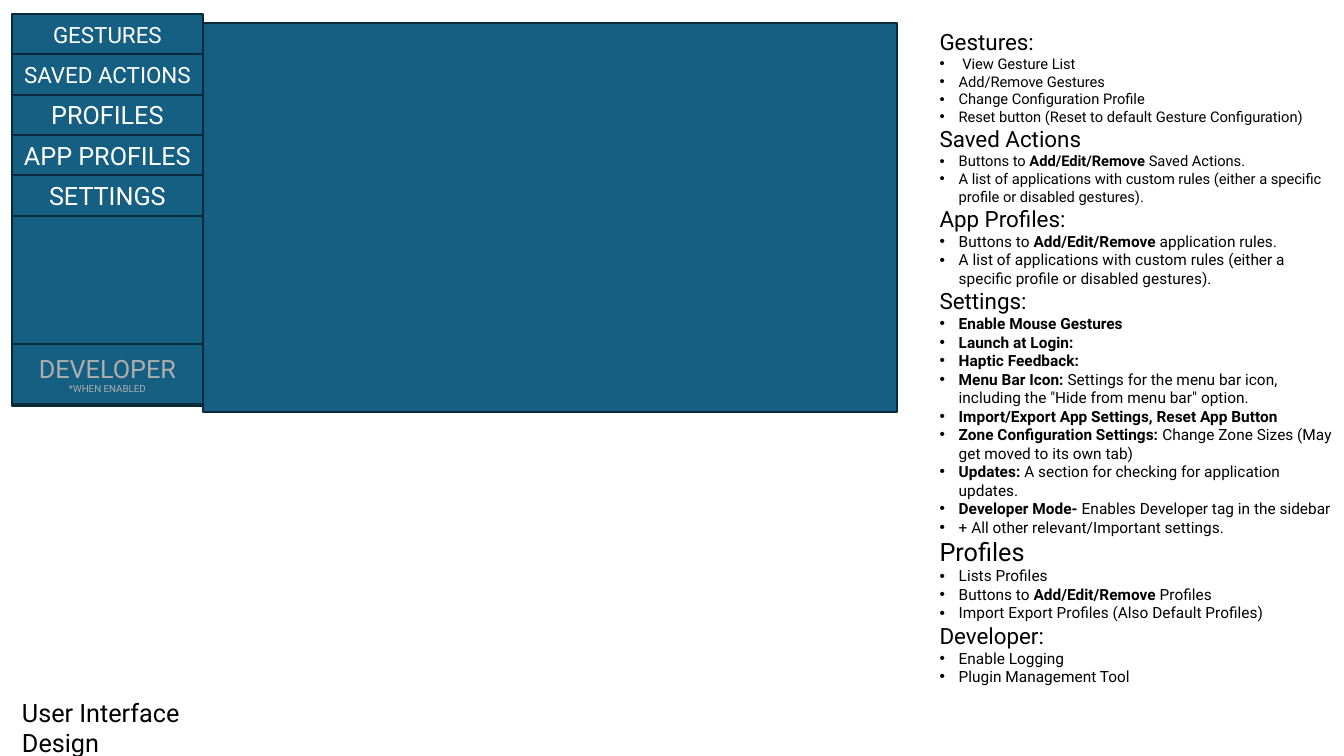
from lxml import etree
from pptx import Presentation
from pptx.dml.color import RGBColor
from pptx.enum import shapes, text
from pptx.oxml.ns import qn
from pptx.util import Inches, Pt

FONT = "Roboto"
BLUE, NAVY, WHITE, GREY, BLACK = "156082", "092A39", "FFFFFF", "AEAEAE", "000000"
SIDEBAR_LEFT, SIDEBAR_WIDTH = 0.12, 1.89
TAB_TOP, TAB_HEIGHT = 0.14, 0.4

TABS = [("GESTURES", 16), ("SAVED ACTIONS", 16), ("PROFILES", 18),
        ("APP PROFILES", 18), ("SETTINGS", 18)]
CUSTOM_RULES = ("A list of applications with custom rules "
                "(either a specific profile or disabled gestures).")
SECTIONS = [
    ("Gestures:", 16, 10.5, [
        " View Gesture List",
        "Add/Remove Gestures",
        "Change Configuration Profile",
        "Reset button (Reset to default Gesture Configuration)"]),
    ("Saved Actions", 16, 10.5, [
        "Buttons to **Add/Edit/Remove** Saved Actions.",
        CUSTOM_RULES]),
    ("App Profiles:", 16, 11, [
        "Buttons to **Add/Edit/Remove** application rules.",
        CUSTOM_RULES]),
    ("Settings:", 16, 11, [
        "**Enable Mouse Gestures**",
        "**Launch at Login:**",
        "**Haptic Feedback:**",
        "**Menu Bar Icon:** Settings for the menu bar icon, "
        "including the \"Hide from menu bar\" option.",
        "**Import/Export App Settings, Reset App Button**",
        "**Zone Configuration Settings:** Change Zone Sizes (May get moved to its own tab)",
        "**Updates:** A section for checking for application updates.",
        "**Developer Mode-** Enables Developer tag in the sidebar",
        "+ All other relevant/Important settings."]),
    ("Profiles", 18, 11, [
        "Lists Profiles",
        "Buttons to **Add/Edit/Remove** Profiles",
        "Import Export Profiles (Also Default Profiles)"]),
    ("Developer:", 16, 11, [
        "Enable Logging",
        "Plugin Management Tool"]),
]


def color(value):
    return RGBColor.from_string(value)


def add_run(p, words, size, ink, bold=False):
    r = p.add_run()
    r.text = words
    r.font.name = FONT
    r.font.size = Pt(size)
    r.font.bold = bold
    r.font.color.rgb = color(ink)


def next_paragraph(tf, first):
    return tf.paragraphs[0] if first else tf.add_paragraph()


def add_bullet(p):
    pPr = p._p.get_or_add_pPr()
    pPr.set("marL", str(Inches(0.19)))
    pPr.set("indent", str(-Inches(0.19)))
    etree.SubElement(pPr, qn("a:buFont")).set("typeface", "Arial")
    etree.SubElement(pPr, qn("a:buChar")).set("char", "•")


def add_panel(s, left, top, width, height, lines=(), fill=BLUE, ink=WHITE):
    sp = s.shapes.add_shape(shapes.MSO_SHAPE.RECTANGLE, Inches(left), Inches(top),
                            Inches(width), Inches(height))
    sp.shadow.inherit = False
    if fill:
        sp.fill.solid()
        sp.fill.fore_color.rgb = color(fill)
    else:
        sp.fill.background()
    sp.line.color.rgb = color(NAVY)
    sp.line.width = Pt(1.5)
    tf = sp.text_frame
    tf.vertical_anchor = text.MSO_ANCHOR.MIDDLE
    for i, (words, size) in enumerate(lines):
        p = next_paragraph(tf, i == 0)
        p.alignment = text.PP_ALIGN.CENTER
        add_run(p, words, size, ink)


def add_text_frame(s, left, top, width, height):
    tf = s.shapes.add_textbox(Inches(left), Inches(top),
                              Inches(width), Inches(height)).text_frame
    tf.word_wrap = True
    return tf


def add_sidebar(s):
    add_panel(s, SIDEBAR_LEFT, 0.17, SIDEBAR_WIDTH, 3.86)
    add_panel(s, SIDEBAR_LEFT + SIDEBAR_WIDTH, 0.23, 6.89, 3.86)
    for i, tab in enumerate(TABS):
        add_panel(s, SIDEBAR_LEFT, TAB_TOP + i * TAB_HEIGHT,
                  SIDEBAR_WIDTH, TAB_HEIGHT, [tab])
    add_panel(s, SIDEBAR_LEFT, 3.41, SIDEBAR_WIDTH, 0.6,
              [("DEVELOPER", 18), ("*WHEN ENABLED", 7)], fill=None, ink=GREY)


def add_feature_list(s):
    tf = add_text_frame(s, 9.22, 0.23, 4.12, 6.5)
    for i, (heading, heading_size, size, items) in enumerate(SECTIONS):
        add_run(next_paragraph(tf, i == 0), heading, heading_size, BLACK)
        for item in items:
            p = tf.add_paragraph()
            add_bullet(p)
            for j, words in enumerate(item.split("**")):
                if words:
                    add_run(p, words, size, BLACK, bold=j % 2 == 1)


def main():
    prs = Presentation()
    prs.slide_width = Inches(13.33)
    prs.slide_height = Inches(7.5)
    s = prs.slides.add_slide(prs.slide_layouts[6])
    add_sidebar(s)
    title = add_text_frame(s, 0.12, 6.87, 2.54, 0.4)
    add_run(title.paragraphs[0], "User Interface Design", 18, BLACK)
    add_feature_list(s)
    prs.save("out.pptx")


if __name__ == "__main__":
    main()
